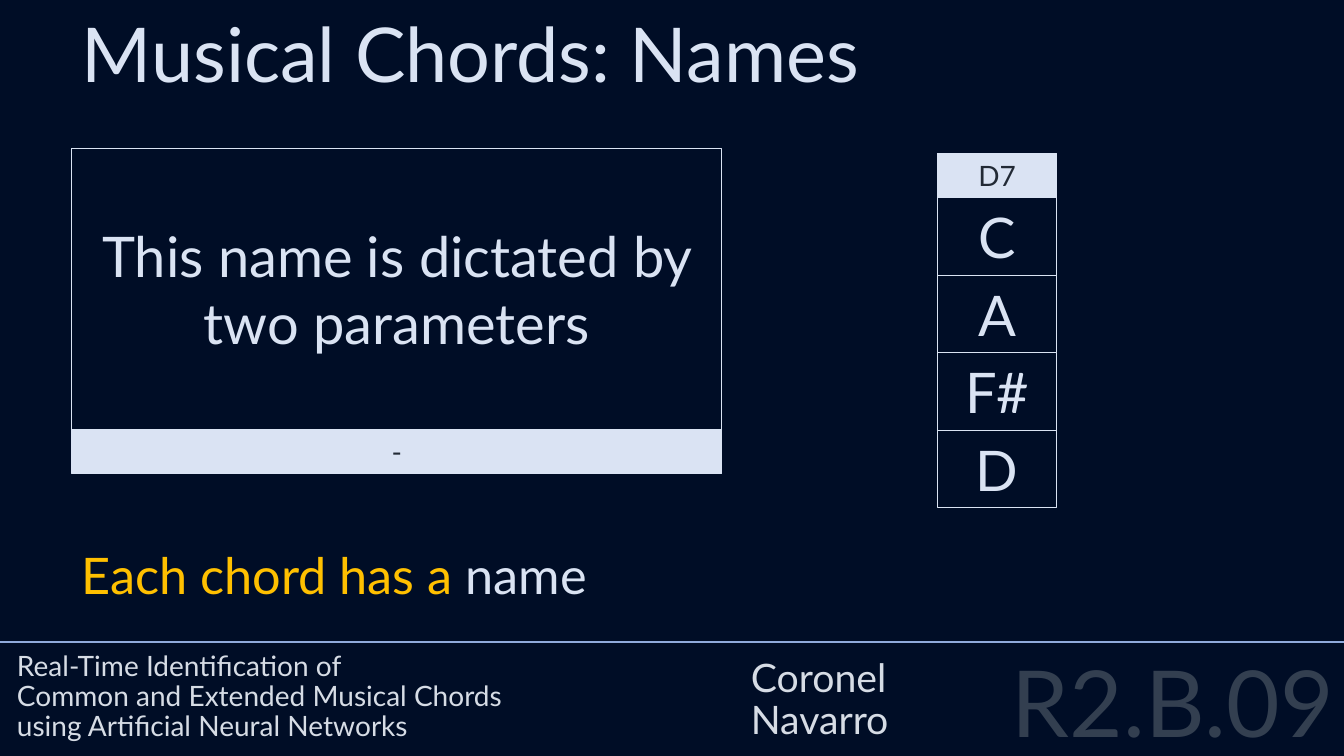
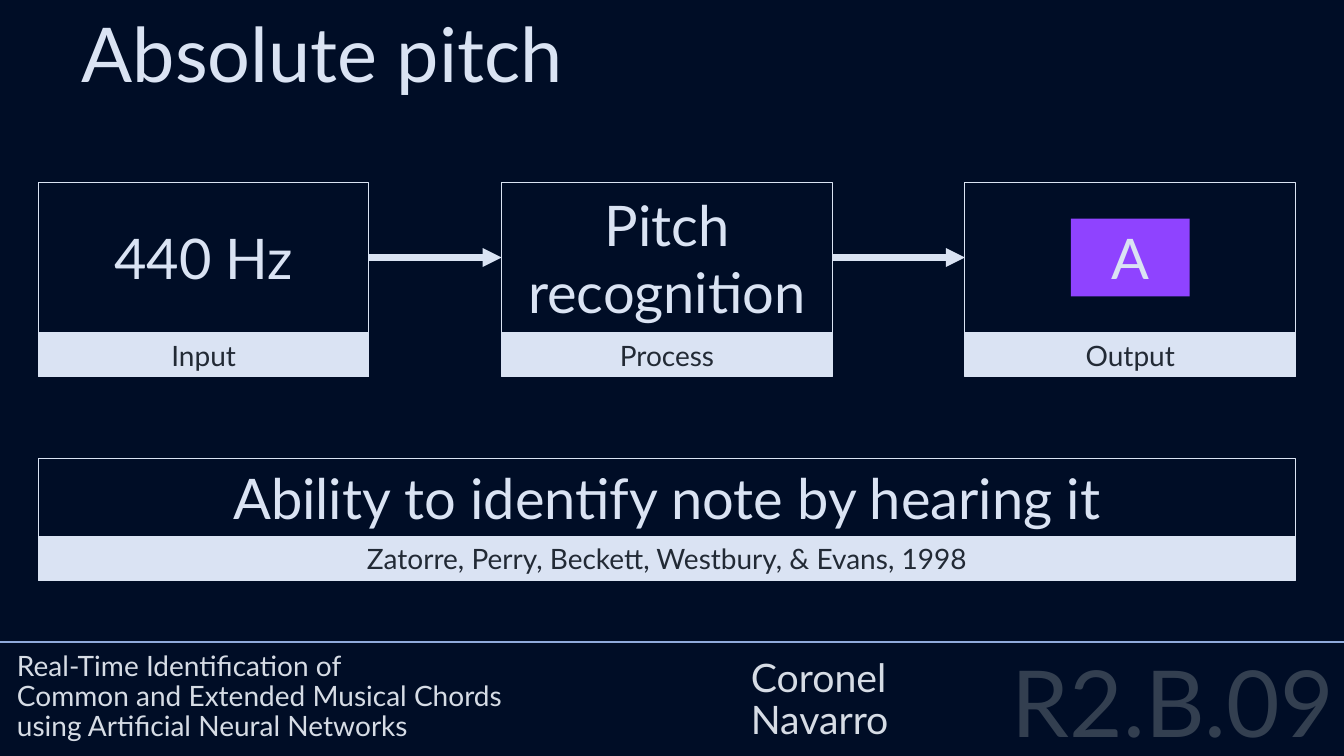
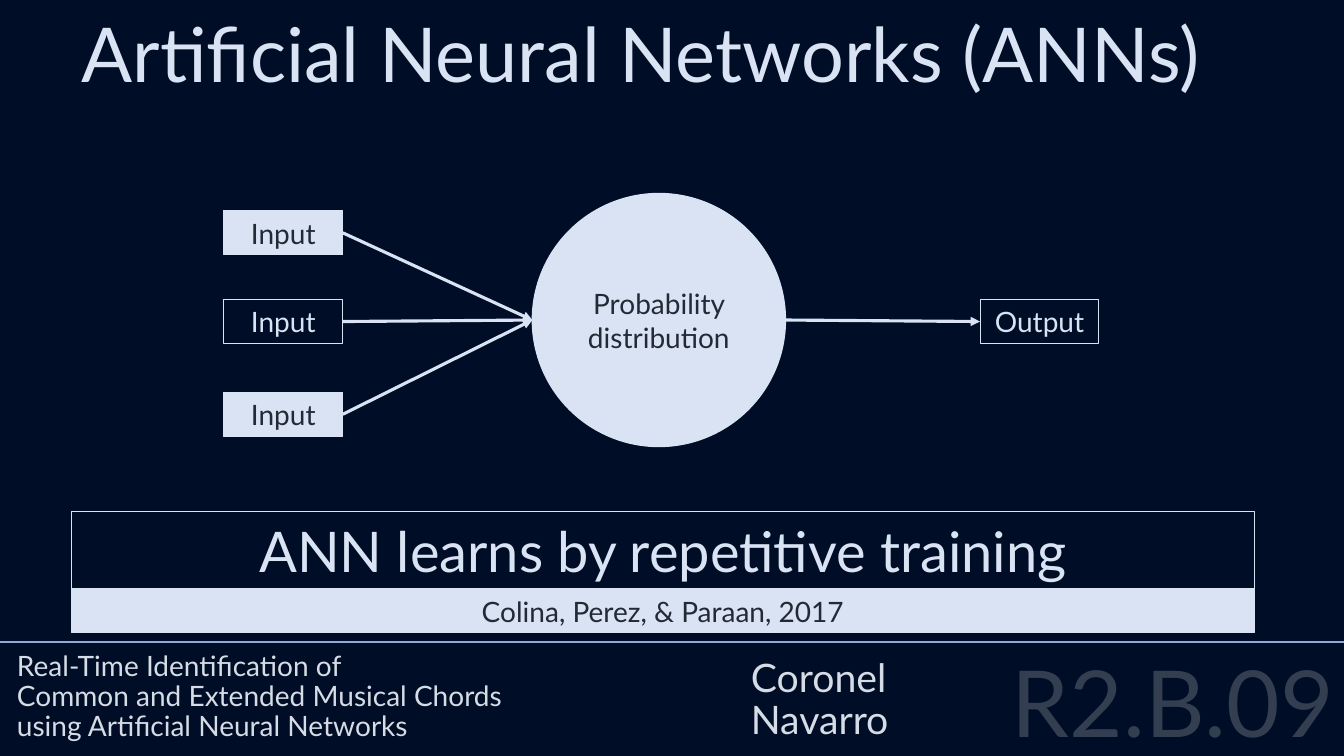
import pptx
import pptx.util
import pptx.dml.color
import pptx.enum.shapes
import pptx.enum.text
import pptx.oxml
import pptx.oxml.ns

Inches = pptx.util.Inches
SHAPE = pptx.enum.shapes.MSO_SHAPE
ALIGN = pptx.enum.text.PP_ALIGN
ANCHOR = pptx.enum.text.MSO_ANCHOR

FONT = "Lato"
COLORS = {
    "back": "000D26",
    "light": "DAE3F3",
    "dark": "222A35",
    "footer": "D6DCE5",
    "code": "333F50",
    "rule": "8FAADC",
    "accent": "FFC000",
    "violet": "8F43FF",
}
SLIDE_W, SLIDE_H = 13.33, 7.5
CAPTION_H = 0.44
NOTE_W, NOTE_H = 1.18, 0.77


def rgb(name):
    return pptx.dml.color.RGBColor.from_string(COLORS[name])


def write(tf, text, size=20, color="light", align=ALIGN.LEFT, anchor=ANCHOR.TOP, spacing=1.0):
    tf.word_wrap = True
    tf.auto_size = pptx.enum.text.MSO_AUTO_SIZE.NONE
    tf.vertical_anchor = anchor
    paragraphs = [text] if isinstance(text, str) else text
    for i, runs in enumerate(paragraphs):
        p = tf.add_paragraph() if i else tf.paragraphs[0]
        p.alignment = align
        p.line_spacing = spacing
        p.space_before = pptx.util.Pt(0)
        for content, run_color in [(runs, color)] if isinstance(runs, str) else runs:
            r = p.add_run()
            r.text = content
            r.font.name = FONT
            r.font.size = pptx.util.Pt(size)
            r.font.color.rgb = rgb(run_color)


def place(sp, x, y, w, h):
    sp.left, sp.top, sp.width, sp.height = map(Inches, (x, y, w, h))


def add_text(s, text, x, y, w, h, **fmt):
    sp = s.shapes.add_textbox(*map(Inches, (x, y, w, h)))
    write(sp.text_frame, text, **fmt)


def add_box(s, text, x, y, w, h, size=20, color="light", fill=None, line="light",
            line_width=0.75, kind=SHAPE.RECTANGLE):
    sp = s.shapes.add_shape(kind, *map(Inches, (x, y, w, h)))
    sp.shadow.inherit = False
    if fill:
        sp.fill.solid()
        sp.fill.fore_color.rgb = rgb(fill)
    else:
        sp.fill.background()
    if line:
        sp.line.color.rgb = rgb(line)
        sp.line.width = pptx.util.Pt(line_width)
    else:
        sp.line.fill.background()
    if text:
        write(sp.text_frame, text, size=size, color=color, align=ALIGN.CENTER, anchor=ANCHOR.MIDDLE)
    return sp


def add_caption(s, text, x, y, w):
    return add_box(s, text, x, y, w, CAPTION_H, color="dark", fill="light")


def add_card(s, text, caption, x, y, w, h):
    sp = add_box(s, text, x, y, w, h, size=40)
    add_caption(s, caption, x, y + h, w)
    return sp


def add_note(s, text, x, y, **style):
    return add_box(s, text, x, y, NOTE_W, NOTE_H, size=40, **style)


def add_line(s, start, end, color, width, arrow=False):
    sp = s.shapes.add_connector(pptx.enum.shapes.MSO_CONNECTOR.STRAIGHT, *start, *end)
    sp.line.color.rgb = rgb(color)
    sp.line.width = pptx.util.Pt(width)
    qn = pptx.oxml.ns.qn
    spPr = sp.element.spPr
    if arrow:
        tail = spPr.find(qn("a:ln")).makeelement(qn("a:tailEnd"), {"type": "triangle"})
        spPr.find(qn("a:ln")).append(tail)
    spPr.append(spPr.makeelement(qn("a:effectLst"), {}))


def link(s, a, b, width):
    start = a.left + a.width, a.top + a.height // 2
    end = b.left, b.top + b.height // 2
    add_line(s, start, end, "light", width, arrow=True)


def add_slide(prs, title):
    s = prs.slides.add_slide(prs.slide_layouts[0])
    place(s.shapes.title, 0.71, 0.02, 12.39, 1.01)
    write(s.shapes.title.text_frame, title, size=54)
    code = s.placeholders[1]
    place(code, 8.46, 6.56, 4.87, 1.04)
    write(code.text_frame, "R2.B.09", size=66, color="code", align=ALIGN.RIGHT, spacing=0.8)
    add_line(s, (0, Inches(6.37)), (Inches(SLIDE_W), Inches(6.37)), "rule", 1.5)
    footer = {"color": "footer", "anchor": ANCHOR.BOTTOM, "spacing": 0.9}
    add_text(s, ["Real-Time Identification of", "Common and Extended Musical Chords",
                 "using Artificial Neural Networks"], 0.07, 6.42, 7.28, 1, size=20, **footer)
    add_text(s, ["Coronel", "Navarro"], 7.35, 6.42, 5.1, 1, size=28, **footer)
    return s


def chord_names(prs):
    s = add_slide(prs, "Musical Chords: Names")
    add_card(s, "This name is dictated by two parameters", "-", 0.71, 1.47, 6.45, 2.79)
    x, y = 9.3, 1.52
    add_caption(s, "D7", x, y, NOTE_W)
    for i, note in enumerate(["C", "A", "F#", "D"]):
        add_note(s, note, x, y + CAPTION_H + i * NOTE_H)
    add_text(s, [[("Each chord has a ", "accent"), ("name", "light")]],
             0.71, 5.35, 8.41, 0.71, size=36)


def absolute_pitch(prs):
    s = add_slide(prs, "Absolute pitch")
    x, y, total, w, h = 0.38, 1.81, 12.47, 3.28, 1.49
    steps = [("440 Hz", "Input"), ("Pitch recognition", "Process"), ("", "Output")]
    pitch = (total - w) / (len(steps) - 1)
    cards = [add_card(s, text, caption, x + i * pitch, y, w, h)
             for i, (text, caption) in enumerate(steps)]
    for a, b in zip(cards, cards[1:]):
        link(s, a, b, 4.5)
    add_note(s, "A", 10.62, 2.17, fill="violet", line=None)
    add_card(s, "Ability to identify note by hearing it",
             "Zatorre, Perry, Beckett, Westbury, & Evans, 1998", x, 4.55, total, NOTE_H)


def neural_networks(prs):
    s = add_slide(prs, "Artificial Neural Networks (ANNs)")
    node = add_box(s, "Probability distribution", 5.28, 1.92, 2.51, 2.51, color="dark",
                   fill="light", line_width=1, kind=SHAPE.OVAL)
    x = 2.22
    inputs = [
        add_caption(s, "Input", x, 2.09, NOTE_W),
        add_box(s, "Input", x, 2.97, NOTE_W, CAPTION_H),
        add_caption(s, "Input", x, 3.89, NOTE_W),
    ]
    for sp in inputs:
        link(s, sp, node, 2.25)
    output = add_box(s, "Output", 9.72, 2.97, NOTE_W, CAPTION_H)
    link(s, node, output, 2.25)
    add_card(s, "ANN learns by repetitive training", "Colina, Perez, & Paraan, 2017",
             0.71, 5.07, 11.73, NOTE_H)


def main():
    prs = pptx.Presentation()
    prs.slide_width, prs.slide_height = Inches(SLIDE_W), Inches(SLIDE_H)
    fill = prs.slide_master.background.fill
    fill.solid()
    fill.fore_color.rgb = rgb("back")
    chord_names(prs)
    absolute_pitch(prs)
    neural_networks(prs)
    prs.save("out.pptx")


if __name__ == "__main__":
    main()
